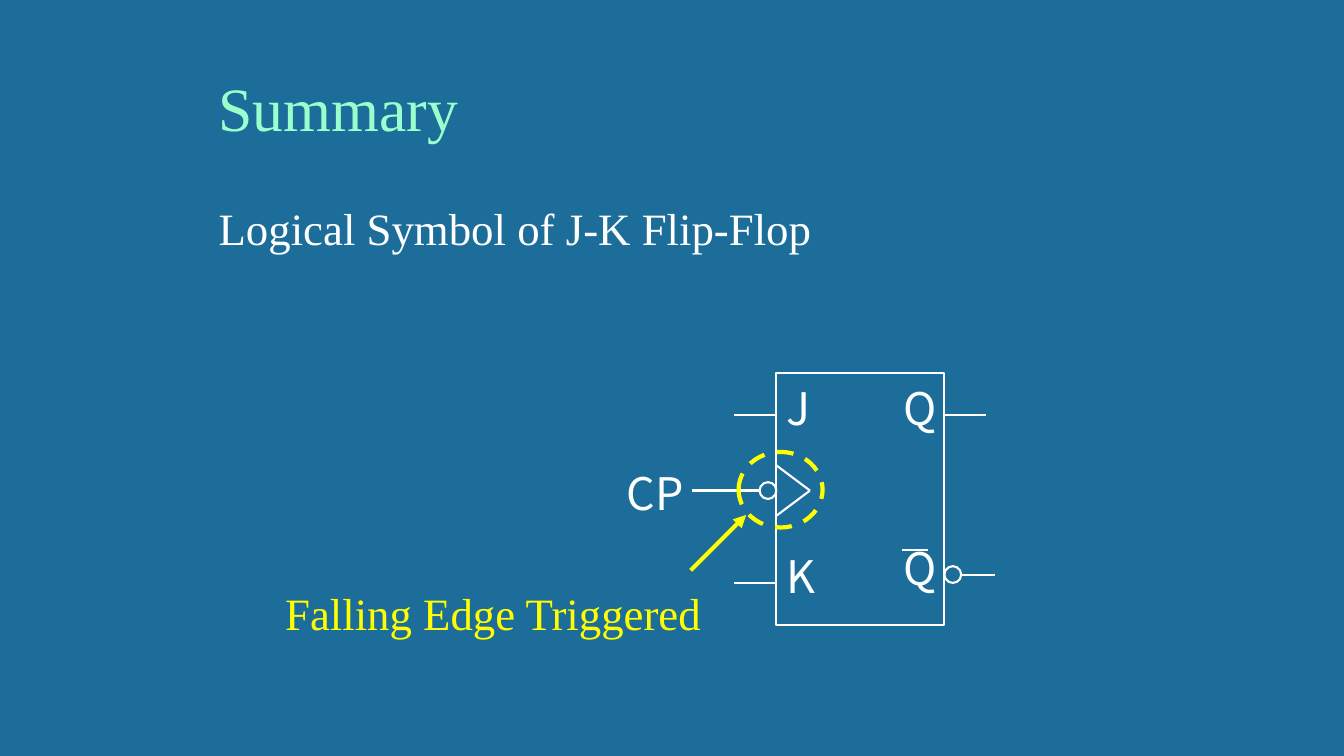
import lxml.etree
import pptx
import pptx.dml.color
import pptx.enum.dml
import pptx.enum.shapes
import pptx.enum.text
import pptx.oxml.ns
import pptx.util

RGB = pptx.dml.color.RGBColor
BLUE = RGB(0x1C, 0x6D, 0x9A)
WHITE = RGB(0xFF, 0xFF, 0xFF)
MINT = RGB(0x99, 0xFF, 0xCC)
YELLOW = RGB(0xFF, 0xFF, 0x00)
SERIF, SANS = "Times New Roman", "Noto Sans CJK SC"
Inches, Pt = pptx.util.Inches, pptx.util.Pt
SHAPE = pptx.enum.shapes.MSO_SHAPE
WIDE, HIGH = 13.33, 7.5
UNIT = 1 / 12

WIRES = [
    (0, 11, 4, 14), (0, 17, 4, 14), (20, 5, 25, 5), (22, 24, 26, 24),
    (-2, 14, -10, 14), (0, 5, -5, 5), (0, 25, -5, 25), (15, 21.1, 18, 21.1),
]
PINS = [("J", 0, 0.9, 5), ("Q", 14, 0.9, 5), ("Q", 14, 20, 5),
        ("K", 0, 20.9, 5), ("CP", -19, 11, 12)]
BUBBLES = [(-2, 13), (20, 23)]


def scale(box, col, row):
    """Turn grid columns and rows into a place on the slide."""
    return Inches(box[0] + col * UNIT), Inches(box[1] + row * UNIT)


def wire(shapes, box, ends, color=WHITE, width=1.5):
    """Draw a straight line between two grid points."""
    start, end = scale(box, *ends[:2]), scale(box, *ends[2:])
    kind = pptx.enum.shapes.MSO_CONNECTOR.STRAIGHT
    line = shapes.add_connector(kind, *start, *end)
    line.line.color.rgb = color
    line.line.width = Pt(width)
    prop = line.line._get_or_add_ln().getparent()
    lxml.etree.SubElement(prop, pptx.oxml.ns.qn("a:effectLst"))
    return line


def outline(shapes, kind, box, area, color=WHITE, width=1.5):
    """Draw an unfilled shape over an area of the grid."""
    size = [Inches(part * UNIT) for part in area[2:]]
    shape = shapes.add_shape(kind, *scale(box, *area[:2]), *size)
    shape.shadow.inherit = False
    shape.fill.background()
    shape.line.color.rgb = color
    shape.line.width = Pt(width)
    return shape


def frame(shapes, box, top=0.05):
    """Add a wrapping text box and return its text frame."""
    text = shapes.add_textbox(*[Inches(part) for part in box]).text_frame
    text.word_wrap = True
    text.margin_top = Inches(top)
    return text


def write(para, words, size, face, color):
    """Add one styled run to a paragraph."""
    run = para.add_run()
    run.text = words
    run.font.size = Pt(size)
    run.font.name = face
    run.font.color.rgb = color


def heading(slide, box):
    """Write the title and the subject line at the foot of the box."""
    text = frame(slide.shapes, box)
    text.vertical_anchor = pptx.enum.text.MSO_ANCHOR.BOTTOM
    write(text.paragraphs[0], "Summary", 44, SERIF, MINT)
    para = text.add_paragraph()
    para.space_before = Pt(40)
    write(para, "Logical Symbol of J-K Flip-Flop", 32, SERIF, WHITE)


def symbol(slide, box):
    """Draw the flip-flop with its wires, bubbles and pin names."""
    shapes = slide.shapes.add_group_shape().shapes
    outline(shapes, SHAPE.RECTANGLE, box, (0, 0, 20, 30))
    for ends in WIRES:
        wire(shapes, box, ends)
    for col, row in BUBBLES:
        outline(shapes, SHAPE.OVAL, box, (col, row, 2, 2))
    for name, col, row, wide in PINS:
        area = (box[0] + col * UNIT, box[1] + row * UNIT, wide * UNIT, 0.63)
        text = frame(shapes, area, 0)
        text.word_wrap = wide > 5
        write(text.paragraphs[0], name, 32, SANS, WHITE)


def callout(slide, box, label):
    """Ring the clock input and point to it from its label."""
    ring = outline(slide.shapes, SHAPE.OVAL, box, (-4.5, 9.4, 10, 9), YELLOW, 3)
    ring.line.dash_style = pptx.enum.dml.MSO_LINE.DASH
    arrow = wire(slide.shapes, box, (-10.2, 23.5, -3.6, 16.9), YELLOW, 3)
    tail = pptx.oxml.ns.qn("a:tailEnd")
    lxml.etree.SubElement(arrow.line._get_or_add_ln(), tail, type="triangle")
    text = frame(slide.shapes, label, 0.1)
    write(text.paragraphs[0], "Falling Edge Triggered", 32, SERIF, YELLOW)


def main():
    """Build the summary slide and save it."""
    deck = pptx.Presentation()
    deck.slide_width, deck.slide_height = Inches(WIDE), Inches(HIGH)
    slide = deck.slides.add_slide(deck.slide_layouts[6])
    slide.background.fill.solid()
    slide.background.fill.fore_color.rgb = BLUE
    chip = (7.7, 3.7)
    symbol(slide, chip)
    heading(slide, (2.07, 0.65, 9.58, 1.92))
    callout(slide, chip, (2.73, 5.71, 4.65, 0.64))
    deck.save("out.pptx")


if __name__ == "__main__":
    main()
